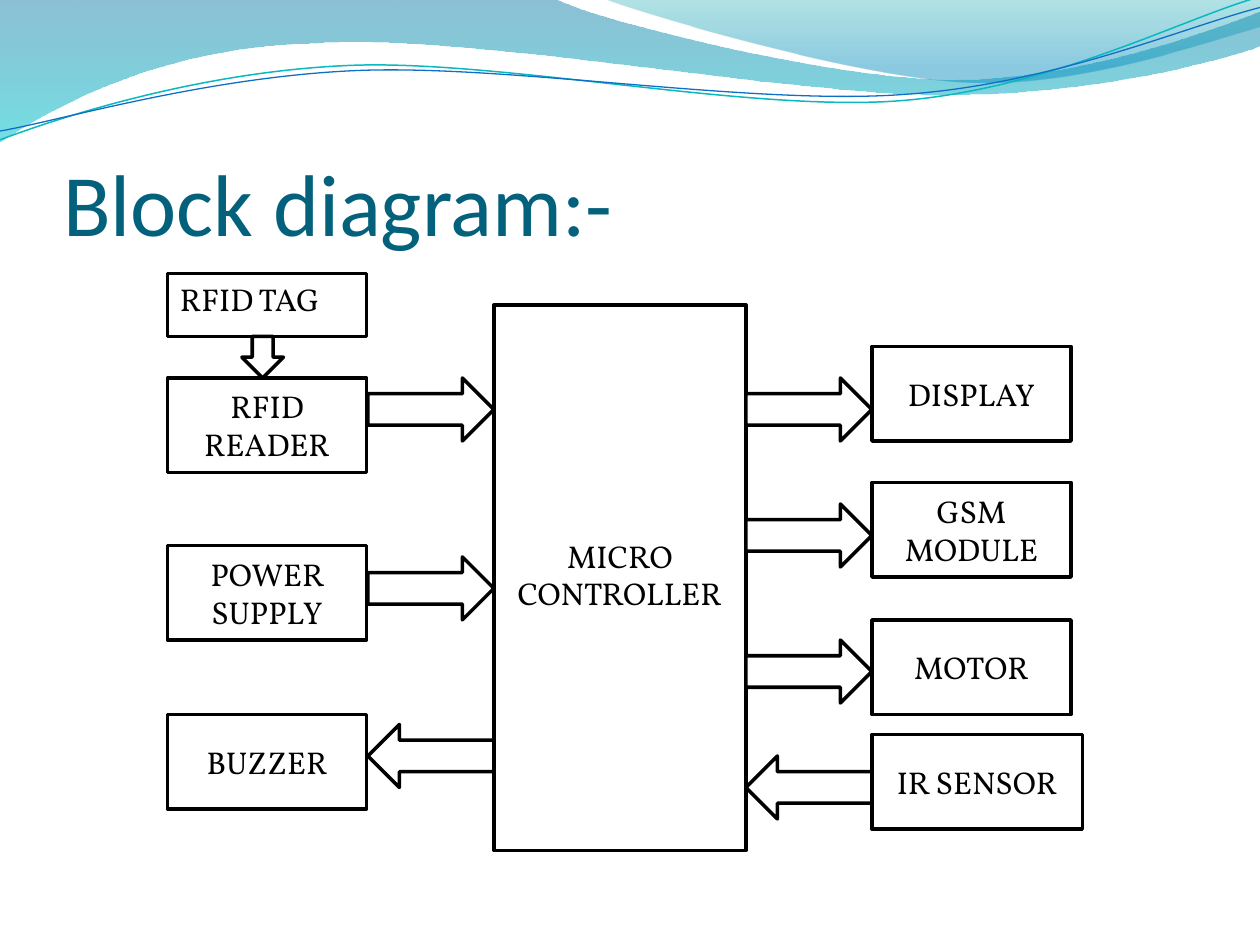
from math import cos, radians, sin

from lxml.etree import SubElement
from pptx import Presentation
from pptx.dml.color import RGBColor
from pptx.enum.shapes import MSO_SHAPE as Shape
from pptx.enum.text import MSO_ANCHOR as Anchor, MSO_AUTO_SIZE as AutoSize, PP_ALIGN as Align
from pptx.oxml.ns import qn
from pptx.util import Inches, Pt

COLORS = {
    "ink": "000000", "paper": "FFFFFF", "title": "04617B",
    "deep": "0074A1", "aqua": "00C6CF", "teal": "00A1A9", "sky": "008BBF",
    "teal_line": "0AB8BF", "blue_line": "0F6FC6",
}
UNITS = 1000
RIBBON_ROTATION = 357.3


def color(name):
    return RGBColor.from_string(COLORS[name])


def write(frame, text, font="Vollkorn", size=18, fill="ink", align=Align.CENTER, anchor=Anchor.MIDDLE):
    frame.text = text
    frame.word_wrap = True
    frame.vertical_anchor = anchor
    for paragraph in frame.paragraphs:
        paragraph.alignment = align
        for run in paragraph.runs:
            run.font.name = font
            run.font.size = Pt(size)
            run.font.color.rgb = color(fill)


def pairs(numbers):
    return list(zip(numbers[::2], numbers[1::2]))


def unrotate(point, center, degrees):
    angle = radians(-degrees)
    x, y = point[0] - center[0], point[1] - center[1]
    return center[0] + x * cos(angle) - y * sin(angle), center[1] + x * sin(angle) + y * cos(angle)


class DiagramSlide:
    def __init__(self, presentation, line_width=2):
        self.slide = presentation.slides.add_slide(presentation.slide_layouts[5])
        self.line_width = line_width

    def outline(self, segments, closed):
        segments = [[(round(x * UNITS), round(y * UNITS)) for x, y in segment] for segment in segments]
        ends = [segment[-1] for segment in segments]
        builder = self.slide.shapes.build_freeform(*ends[0], scale=Inches(1) / UNITS)
        builder.add_line_segments(ends[1:], close=closed)
        shape = builder.convert_to_shape()
        shape.shadow.inherit = False
        left, top = (min(values) for values in zip(*ends))
        for element, segment in zip(list(shape.element.iter(qn("a:lnTo"))), segments[1:]):
            if len(segment) == 3:
                element.tag = qn("a:cubicBezTo")
                for index, (x, y) in enumerate(segment[:2]):
                    control = SubElement(element, qn("a:pt"), x=str(x - left), y=str(y - top))
                    element.insert(index, control)
        return shape

    def wave(self, stops, *segments):
        shape = self.outline([pairs(segment) for segment in segments], True)
        shape.line.fill.background()
        shape.fill.gradient()
        shape.fill.gradient_angle = 270
        elements = shape.element.iter(qn("a:gs"))
        for stop, element, (position, name, opacity) in zip(shape.fill.gradient_stops, elements, stops):
            stop.color.rgb = color(name)
            element.set("pos", str(position * 1000))
            SubElement(element[0], qn("a:alpha"), val=str(opacity * 1000))

    def ribbon(self, name, width, center, *segments):
        shape = self.outline([[unrotate(point, center, RIBBON_ROTATION) for point in pairs(segment)]
                              for segment in segments], False)
        shape.rotation = RIBBON_ROTATION
        shape.fill.background()
        shape.line.color.rgb = color(name)
        shape.line.width = Pt(width)

    def title(self, text):
        title = self.slide.shapes.title
        title.left, title.top, title.width, title.height = map(Inches, (0.5, 0.77, 9.08, 1.25))
        frame = title.text_frame
        frame.margin_left = frame.margin_right = frame.margin_bottom = 0
        frame.auto_size = AutoSize.NONE
        write(frame, text, font="Calibri", size=50, fill="title", align=Align.LEFT, anchor=Anchor.BOTTOM)

    def block(self, kind, left, top, width, height):
        shape = self.slide.shapes.add_shape(kind, *map(Inches, (left, top, width, height)))
        shape.shadow.inherit = False
        shape.fill.solid()
        shape.fill.fore_color.rgb = color("paper")
        shape.line.color.rgb = color("ink")
        shape.line.width = Pt(self.line_width)
        return shape

    def box(self, text, left, top, width=1.58, height=0.75, bottom_margin=0.05, **style):
        frame = self.block(Shape.RECTANGLE, left, top, width, height).text_frame
        frame.margin_bottom = Inches(bottom_margin)
        write(frame, text, **style)

    def arrow(self, kind, left, top, width=1, height=0.5):
        self.block(kind, left, top, width, height)


def main():
    presentation = Presentation()
    presentation.slide_width, presentation.slide_height = Inches(10), Inches(7.5)
    diagram = DiagramSlide(presentation)

    diagram.wave([(0, "deep", 45), (100, "aqua", 55)],
                 (0, 0), (4.4, -0.01), (4.76, 0.17, 6.64, 0.63, 7.58, 0.63),
                 (8.53, 0.63, 9.58, 0.26, 10, 0.09), (10.01, 0.36),
                 (9.83, 0.44, 8.7, 0.76, 7.46, 0.75), (6.22, 0.75, 3.82, 0.28, 2.57, 0.34),
                 (1.29, 0.36, 0.46, 0.83, -0.01, 1.13))
    diagram.wave([(0, "teal", 30), (80, "sky", 45)],
                 (4.79, -0.01), (5.09, 0.11, 6.82, 0.62, 7.69, 0.65),
                 (8.56, 0.69, 9.61, 0.32, 10, 0.21), (10, 0))
    diagram.ribbon("teal_line", 0.85, (4.99, 0.57),
                   (0, 1.11), (0.48, 0.93, 1.58, 0.57, 2.77, 0.52),
                   (3.95, 0.47, 5.93, 0.89, 7.13, 0.8), (8.33, 0.71, 9.38, 0.15, 9.98, -0.02))
    diagram.ribbon("blue_line", 0.75, (5, 0.59),
                   (0, 1.04), (0.47, 0.96, 1.64, 0.61, 2.83, 0.56),
                   (4.03, 0.51, 5.97, 0.84, 7.17, 0.75), (8.36, 0.67, 9.41, 0.21, 10, 0.06))

    diagram.title("Block diagram:-")

    input_left, input_arrow_left, controller_left = 1.33, 2.92, 3.92
    output_arrow_left, output_left = 5.92, 6.92
    diagram.box("MICRO\nCONTROLLER", controller_left, 2.42, 2, 4.33, bottom_margin=0.1)
    diagram.box("RFID TAG", input_left, 2.17, height=0.5, align=Align.LEFT, anchor=Anchor.TOP)
    diagram.arrow(Shape.DOWN_ARROW, 1.92, 2.67, 0.33, 0.33)

    right, left = Shape.RIGHT_ARROW, Shape.LEFT_ARROW
    for text, top, kind, arrow_top in [("RFID READER", 3, right, 3), ("POWER SUPPLY", 4.33, right, 4.42),
                                       ("BUZZER", 5.67, left, 5.75)]:
        diagram.arrow(kind, input_arrow_left, arrow_top)
        diagram.box(text, input_left, top)
    for text, top, width, kind, arrow_top in [("DISPLAY", 2.75, 1.58, right, 3),
                                              ("GSM MODULE", 3.83, 1.58, right, 4),
                                              ("MOTOR", 4.92, 1.58, right, 5.08),
                                              ("IR SENSOR", 5.83, 1.67, left, 6)]:
        diagram.arrow(kind, output_arrow_left, arrow_top)
        diagram.box(text, output_left, top, width)

    presentation.save("out.pptx")


if __name__ == "__main__":
    main()
